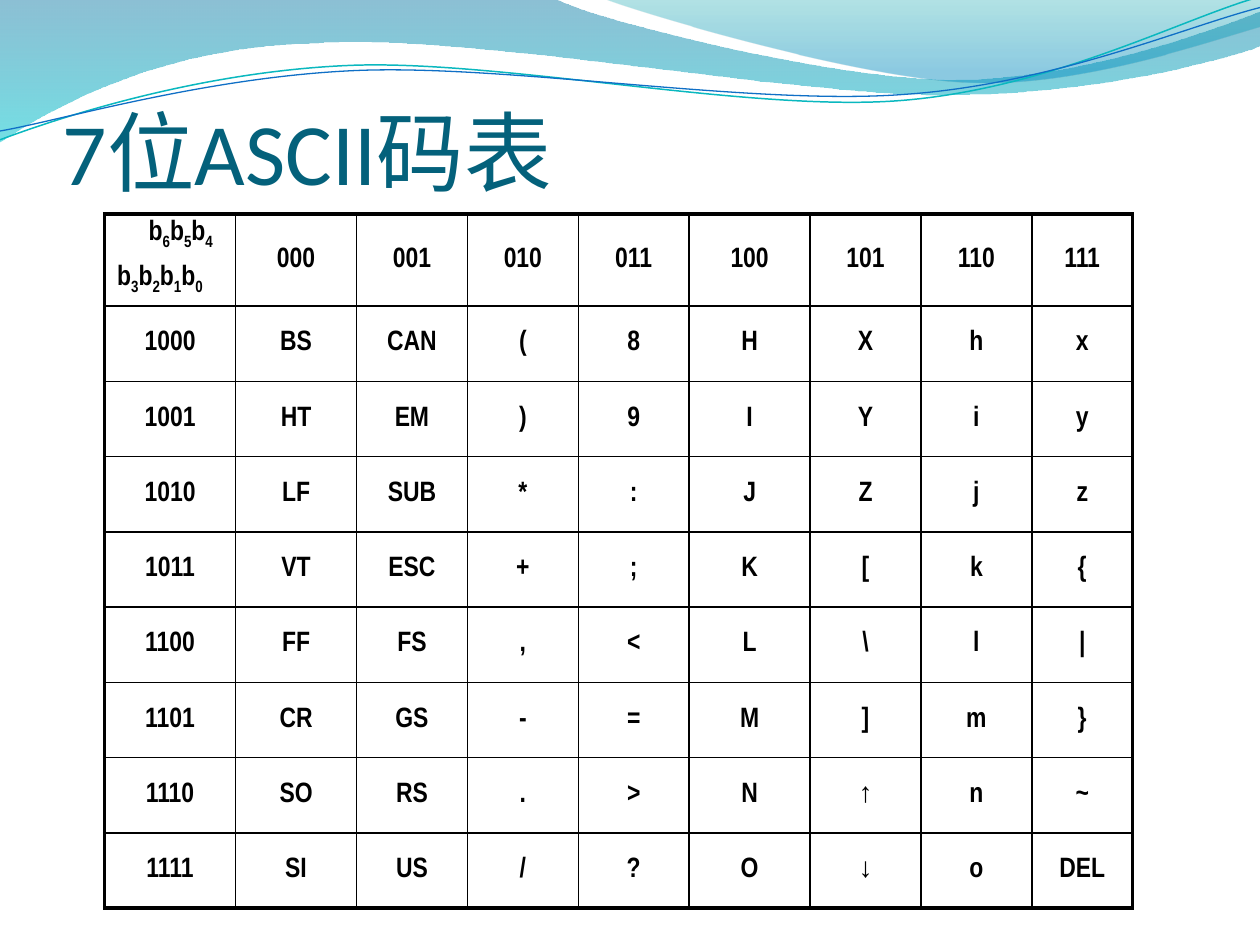
import pptx
import pptx.util
import pptx.dml.color
import pptx.enum.text
import pptx.oxml
import pptx.oxml.ns

COLS, ROWS = 10, 7.5
UNIT = pptx.util.Inches(1)
TONES = {
    "ink": "000000", "title": "04617B", "deep": "0074A1", "aqua": "00C6CF",
    "teal": "00A1A9", "sky": "008BBF", "cyan": "0AB8BF", "blue": "0F6FC6",
}

# A part of one point is straight; three points are two handles and an end
BANDS = [
    ((0, 0),
     [[(4.4, -0.01)],
      [(4.76, 0.17), (6.64, 0.63), (7.58, 0.63)],
      [(8.53, 0.63), (9.58, 0.26), (10, 0.09)],
      [(10.01, 0.36)],
      [(9.83, 0.44), (8.7, 0.76), (7.46, 0.75)],
      [(6.22, 0.75), (3.82, 0.28), (2.57, 0.34)],
      [(1.29, 0.36), (0.46, 0.83), (-0.01, 1.13)],
      [(0, 0)]],
     [(0, "deep", 45), (1, "aqua", 55)]),
    ((4.79, -0.01),
     [[(5.09, 0.11), (6.82, 0.62), (7.69, 0.65)],
      [(8.56, 0.69), (9.61, 0.32), (10, 0.21)],
      [(10, 0)],
      [(4.79, -0.01)]],
     [(0, "teal", 30), (0.8, "sky", 45)]),
]
LINES = [
    ((0, 1.11),
     [[(0.48, 0.93), (1.58, 0.57), (2.77, 0.52)],
      [(3.95, 0.47), (5.93, 0.89), (7.13, 0.8)],
      [(8.33, 0.71), (9.38, 0.15), (9.98, -0.02)]], "cyan", 0.85),
    ((0, 1.04),
     [[(0.47, 0.96), (1.64, 0.61), (2.83, 0.56)],
      [(4.03, 0.51), (5.97, 0.84), (7.17, 0.75)],
      [(8.36, 0.67), (9.41, 0.21), (10, 0.06)]], "blue", 0.75),
]

HEADS = ["000", "001", "010", "011", "100", "101", "110", "111"]
CODES = [
    "BS CAN ( 8 H X h x",
    "HT EM ) 9 I Y i y",
    "LF SUB * : J Z j z",
    "VT ESC + ; K [ k {",
    "FF FS , < L \\ l |",
    "CR GS - = M ] m }",
    "SO RS . > N ↑ n ~",
    "SI US / ? O ↓ o DEL",
]
WIDTHS = [1.04, 0.96, 0.88, 0.88, 0.88, 0.96, 0.88, 0.88, 0.8]
HEAD_ROW = 0.73


def size(n):
    return pptx.util.Emu(round(n * UNIT))


def tone(name):
    return pptx.dml.color.RGBColor.from_string(TONES[name])


def outline(slide, box, start, parts, close):
    """Lay out every point, then bend each part of three into a curve."""
    spots = [(size(box[0] + x), size(box[1] + y))
             for x, y in [start, *sum(parts, [])]]
    path = slide.shapes.build_freeform(*spots[0])
    path.add_line_segments(spots[1:], close=close)
    shape = path.convert_to_shape()
    shape.shadow.inherit = False
    legs = iter(shape._element.findall(".//" + pptx.oxml.ns.qn("a:lnTo")))
    for part in parts:
        group = [next(legs) for _ in part]
        if len(group) == 3:
            curve = group[0].makeelement(pptx.oxml.ns.qn("a:cubicBezTo"), {})
            group[0].addprevious(curve)
            for leg in group:
                curve.append(leg[0])
                leg.getparent().remove(leg)
    return shape


def add_waves(slide, box):
    # Translucent bands
    for start, parts, stops in BANDS:
        band = outline(slide, box, start, parts, True)
        band.line.fill.background()
        band.fill.gradient()
        band.fill.gradient_angle = 270
        for stop, (place, name, _) in zip(band.fill.gradient_stops, stops):
            stop.position = place
            stop.color.rgb = tone(name)
        colors = band._element.spPr.findall(".//" + pptx.oxml.ns.qn("a:srgbClr"))
        for color, (_, _, alpha) in zip(colors, stops):
            color.append(color.makeelement(
                pptx.oxml.ns.qn("a:alpha"), {"val": str(alpha * 1000)}))
    # Thin lines
    for start, parts, name, width in LINES:
        wave = outline(slide, box, start, parts, False)
        wave.fill.background()
        wave.line.color.rgb = tone(name)
        wave.line.width = pptx.util.Pt(width)


def add_title(slide, box, text):
    frame = slide.shapes.add_textbox(*map(size, box)).text_frame
    frame.word_wrap = True
    frame.vertical_anchor = pptx.enum.text.MSO_ANCHOR.BOTTOM
    frame.margin_left = frame.margin_right = frame.margin_bottom = 0
    frame.margin_top = size(0.05)
    frame.text = text
    style(frame.paragraphs[0], 50, "Calibri", "title")


def style(para, points, face, name, bold=False):
    font = para.font
    font.size = pptx.util.Pt(points)
    font.name = face
    font.bold = bold
    font.color.rgb = tone(name)


def style_cell(para):
    para.line_spacing = 0.9
    style(para, 16, "Arial Narrow", "ink", True)


def set_edges(cell, thick):
    """Draw the four borders; those named in thick are heavy."""
    props = cell._tc.get_or_add_tcPr()
    for i, side in enumerate("LRTB"):
        width = pptx.util.Pt(2.25 if side in thick else 1)
        props.insert(i, pptx.oxml.parse_xml(
            f'<a:ln{side} {pptx.oxml.ns.nsdecls("a")} w="{width}"><a:solidFill>'
            f'<a:srgbClr val="{TONES["ink"]}"/></a:solidFill></a:ln{side}>'))


def fill_corner(cell):
    cell.margin_bottom = 0
    frame = cell.text_frame
    for i, digits in enumerate(["654", "3210"]):
        para = frame.add_paragraph() if i else frame.paragraphs[0]
        if i:
            para.space_before = pptx.util.Pt(9.6)
        else:
            para._p.get_or_add_pPr().set("marL", str(size(0.25)))
        for digit in digits:
            para.add_run().text = "b"
            sub = para.add_run()
            sub.text = digit
            sub.font._element.set("baseline", "-25000")
        style_cell(para)


def add_codes(slide, box):
    rows = [["", *HEADS]]
    rows += [[f"{8 + i:04b}", *line.split()] for i, line in enumerate(CODES)]
    last, end = len(rows) - 1, len(WIDTHS) - 1
    code_row = (box[3] - HEAD_ROW) / last
    table = slide.shapes.add_table(len(rows), len(WIDTHS), *map(size, box)).table
    table.first_row = table.horz_banding = False
    for col, width in zip(table.columns, WIDTHS):
        col.width = size(width)
    for r, texts in enumerate(rows):
        table.rows[r].height = size(code_row if r else HEAD_ROW)
        for c, text in enumerate(texts):
            cell = table.cell(r, c)
            cell.fill.background()
            set_edges(cell, "L" * (c == 0) + "R" * (c == end)
                      + "T" * (r == 0) + "B" * (r == last))
            if r == c == 0:
                fill_corner(cell)
                continue
            cell.vertical_anchor = pptx.enum.text.MSO_ANCHOR.MIDDLE
            cell.text = text
            para = cell.text_frame.paragraphs[0]
            para.alignment = pptx.enum.text.PP_ALIGN.CENTER
            style_cell(para)


def main():
    deck = pptx.Presentation()
    deck.slide_width, deck.slide_height = size(COLS), size(ROWS)
    slide = deck.slides.add_slide(deck.slide_layouts[6])
    add_waves(slide, (0, 0, COLS, 1.13))
    add_title(slide, (0.5, 0.36, 9, 1.25), "7位ASCII码表")
    add_codes(slide, (0.83, 1.7, sum(WIDTHS), 5.51))
    deck.save("out.pptx")


if __name__ == "__main__":
    main()
